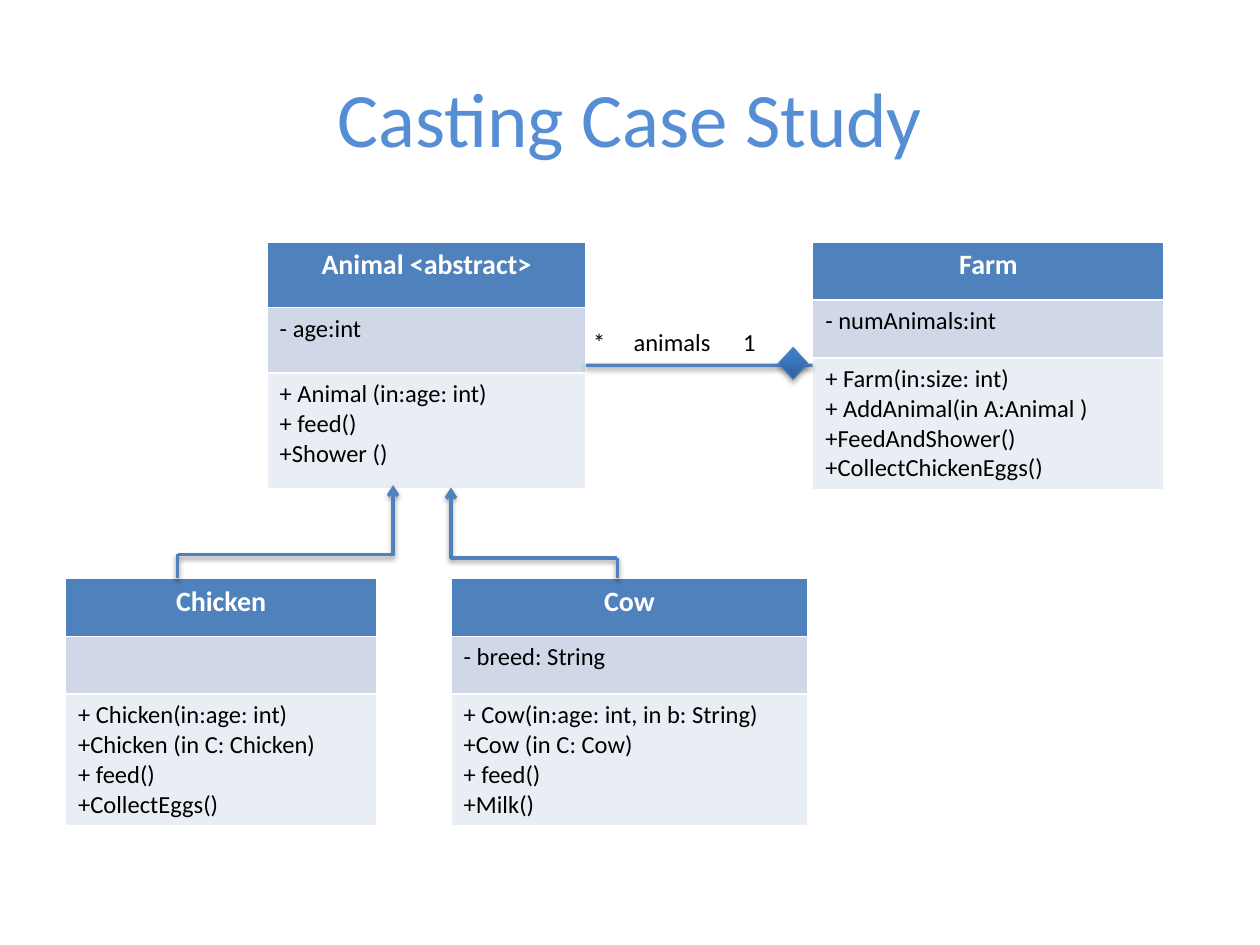
from lxml.etree import SubElement
from pptx import Presentation
from pptx.dml.color import RGBColor
from pptx.enum.shapes import MSO_CONNECTOR as Link, MSO_SHAPE as Shape
from pptx.enum.text import MSO_ANCHOR as Anchor, PP_ALIGN as Align
from pptx.oxml.ns import qn
from pptx.util import Inches, Pt

BLUE = "4F81BD"
FONT = "Calibri"


def color(code):
    """Turn a hex string into a colour."""
    return RGBColor.from_string(code)


def style_text(para, size, code, bold=False):
    """Set the font of a whole paragraph."""
    font = para.font
    font.name, font.size, font.bold = FONT, Pt(size), bold
    font.color.rgb = color(code)


def add_shadow(shape, opacity, distance):
    """Give a shape a soft shadow that falls straight down."""
    effects = SubElement(shape._element.spPr, qn("a:effectLst"))
    shadow = SubElement(effects, qn("a:outerShdw"), blurRad=str(Pt(3.1)),
                        dist=str(Pt(distance)), dir="5400000", rotWithShape="0")
    tint = SubElement(shadow, qn("a:srgbClr"), val="000000")
    SubElement(tint, qn("a:alpha"), val=str(opacity * 1000))


def add_title(page, text, left, top, width, height):
    """Place and fill the title placeholder."""
    title = page.shapes.title
    title.left, title.top = Inches(left), Inches(top)
    title.width, title.height = Inches(width), Inches(height)
    title.text_frame.text = text
    title.text_frame.vertical_anchor = Anchor.MIDDLE
    para = title.text_frame.paragraphs[0]
    para.alignment = Align.CENTER
    style_text(para, 44, "558ED5")


def add_class(page, name, fields, methods, left, top, width, height, row_height=0.46):
    """Draw a class as a table of name, fields and methods."""
    frame = page.shapes.add_table(3, 1, Inches(left), Inches(top),
                                  Inches(width), Inches(height))
    table = frame.table
    heights = (row_height, row_height, height - 2 * row_height)
    fills = (BLUE, "D0D8E8", "E9EDF4")
    for index, lines in enumerate(([name], fields, methods)):
        table.rows[index].height = Inches(heights[index])
        cell = table.cell(index, 0)
        cell.fill.solid()
        cell.fill.fore_color.rgb = color(fills[index])
        cell.text_frame.text = "\n".join(lines)
        for para in cell.text_frame.paragraphs:
            if index == 0:
                para.alignment = Align.CENTER
                style_text(para, 16, "FFFFFF", True)
            else:
                style_text(para, 14, "000000")
    return frame


def add_line(shapes, kind, start, end):
    """Draw a shadowed blue connector between two points."""
    line = shapes.add_connector(kind, *map(Inches, start + end))
    line.line.color.rgb = color(BLUE)
    line.line.width = Pt(2)
    add_shadow(line, 38, 1.6)
    return line


def add_inheritance(page, child, corner_y, parent):
    """Draw a stem and a bent arrow from a child class to its parent."""
    shapes = page.shapes.add_group_shape().shapes
    corner = (child[0], corner_y)
    arrow = add_line(shapes, Link.ELBOW, corner, parent)
    arrow._element.spPr.find(qn("a:prstGeom")).set("prst", "bentConnector2")
    SubElement(arrow.line._get_or_add_ln(), qn("a:tailEnd"), type="arrow")
    add_line(shapes, Link.STRAIGHT, corner, child)


def add_composition(page, part, whole, left, top, width, height):
    """Join two classes with a line, a diamond and a label."""
    middle = top + height
    line = add_line(page.shapes, Link.STRAIGHT, (left, middle), (left + width, middle))
    line.begin_connect(part, 3)
    line.end_connect(whole, 1)

    diamond = page.shapes.add_shape(Shape.DIAMOND, Inches(left + width - 0.27),
                                    Inches(middle - 0.14), Inches(0.23), Inches(0.25))
    diamond.fill.gradient()
    diamond.fill.gradient_angle = 90
    for stop, (position, code) in zip(diamond.fill.gradient_stops,
                                      ((0, "2F5F99"), (0.8, "3D7CC7"))):
        stop.position = position
        stop.color.rgb = color(code)
    diamond.line.color.rgb = color("4B7EBC")
    diamond.line.width = Pt(0.75)
    add_shadow(diamond, 35, 1.8)

    label = page.shapes.add_textbox(Inches(left - 0.04), Inches(top),
                                    Inches(1.75), Inches(0.34))
    label.text_frame.word_wrap = True
    para = label.text_frame.paragraphs[0]
    para.text = "*\tanimals\t1"
    style_text(para, 14, "000000")
    properties = para._p.get_or_add_pPr()
    stops = properties.makeelement(qn("a:tabLst"))
    properties.insert(0, stops)
    for position in (0.32, 1.19):
        SubElement(stops, qn("a:tab"), pos=str(Inches(position)), algn="l")


def main():
    """Build the class diagram slide."""
    deck = Presentation()
    deck.slide_width, deck.slide_height = Inches(10), Inches(7.5)
    page = deck.slides.add_slide(deck.slide_layouts[5])
    add_title(page, "Casting Case Study", 0.5, 0.3, 9, 1.25)

    upper, lower, height = 1.92, 4.59, 1.96
    animal = add_class(page, "Animal <abstract>", ["- age:int"],
                       ["+ Animal (in:age: int)", "+ feed()", "+Shower ()"],
                       2.12, upper, 2.53, height, 0.52)
    add_class(page, "Chicken", [],
              ["+ Chicken(in:age: int)", "+Chicken (in C: Chicken)",
               "+ feed()", "+CollectEggs()"],
              0.52, lower, 2.47, height)
    add_class(page, "Cow", ["- breed: String"],
              ["+ Cow(in:age: int, in b: String)", "+Cow (in C: Cow)",
               "+ feed()", "+Milk()"],
              3.58, lower, 2.83, height)
    farm = add_class(page, "Farm", ["- numAnimals:int"],
                     ["+ Farm(in:size: int)", "+ AddAnimal(in A:Animal )",
                      "+FeedAndShower()", "+CollectChickenEggs()"],
                     6.45, upper, 2.79, height)

    add_inheritance(page, (1.41, lower), 4.4, (3.12, 3.85))
    add_inheritance(page, (4.9, lower), 4.43, (3.58, 3.87))
    add_composition(page, animal, farm, 4.65, 2.55, 1.8, 0.35)
    deck.save("out.pptx")


if __name__ == "__main__":
    main()
